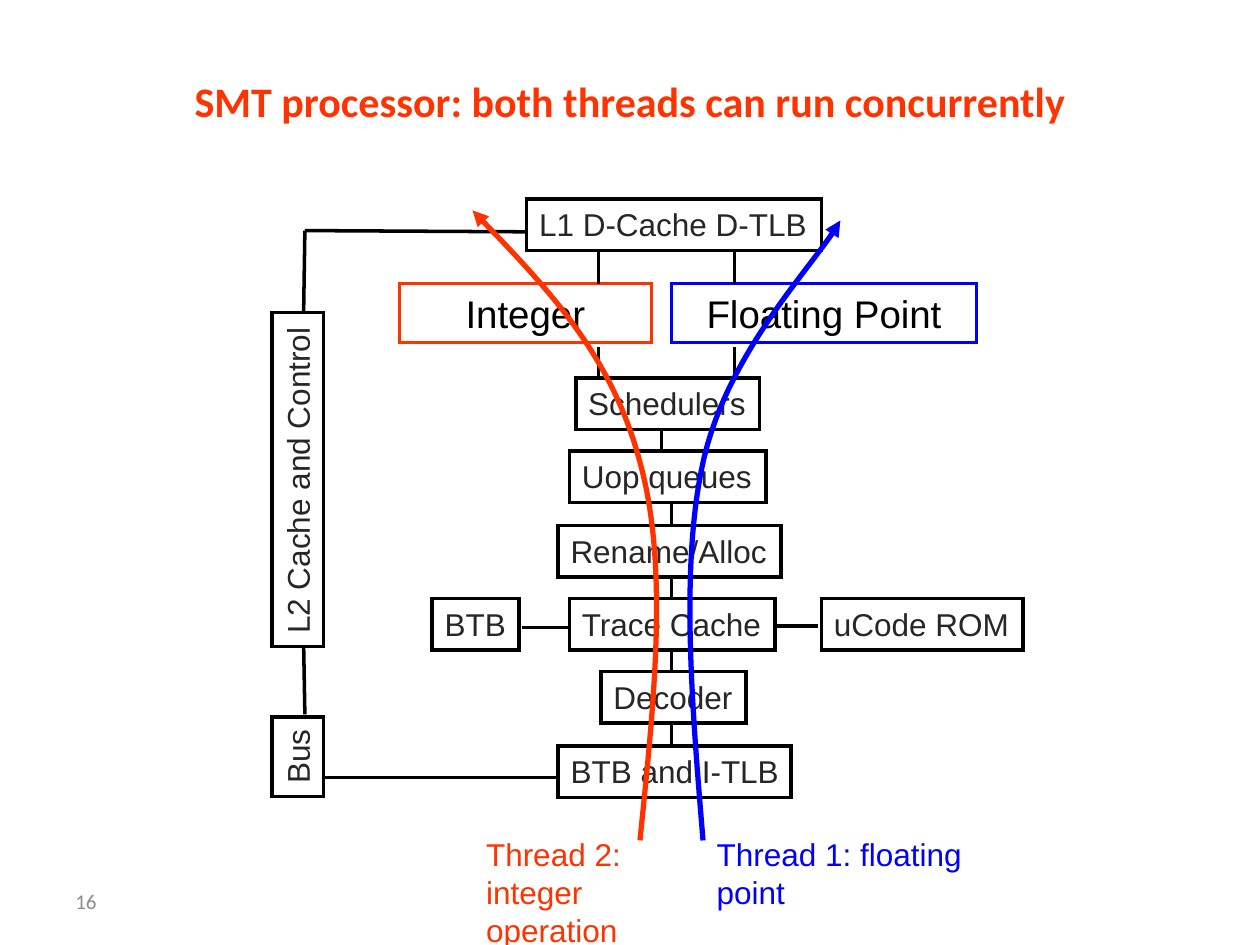
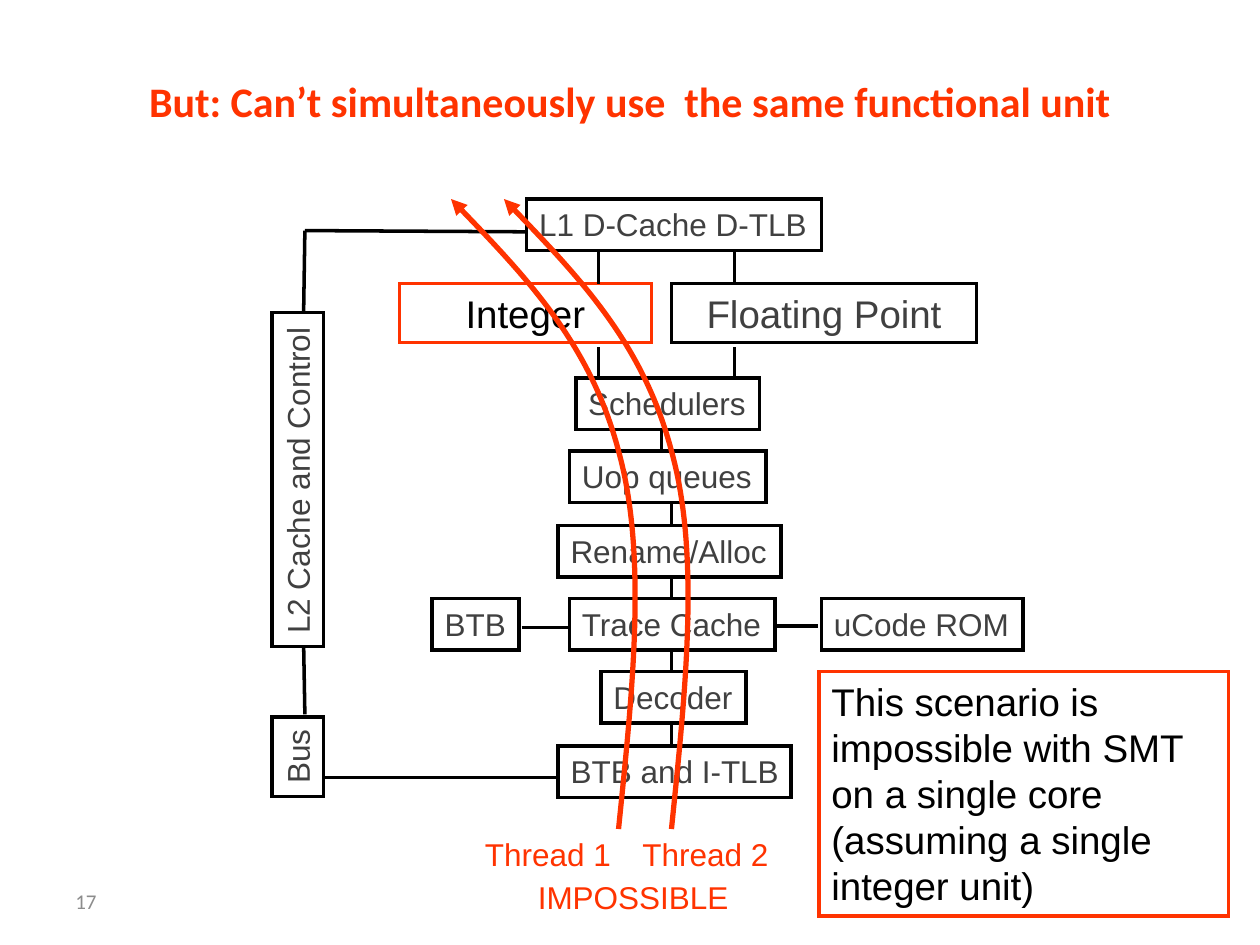
from lxml.etree import SubElement
from pptx import Presentation
from pptx.dml.color import RGBColor
from pptx.enum.shapes import MSO_CONNECTOR, MSO_SHAPE
from pptx.enum.text import MSO_ANCHOR, MSO_AUTO_SIZE, PP_ALIGN
from pptx.oxml.ns import qn
from pptx.util import Emu, Pt

SCALE = 9144
BLACK = RGBColor(0x00, 0x00, 0x00)
DARK = RGBColor(0x26, 0x26, 0x26)
FADED = RGBColor(0x40, 0x40, 0x40)
GREY = RGBColor(0x8C, 0x8C, 0x8C)
RED = RGBColor(0xFF, 0x33, 0x00)
BLUE = RGBColor(0x00, 0x00, 0xFF)

PIPELINE = [
    ("Schedulers", 457, 146),
    ("Uop queues", 452, 156),
    ("Rename/Alloc", 443, 177),
    ("Trace Cache", 452, 163),
    ("Decoder", 477, 115),
    ("BTB and I-TLB", 443, 185),
]
SIDE_BLOCKS = [
    ("L1 D-Cache D-TLB", 418, 158, 234, 0),
    ("uCode ROM", 652, 475, 160, 0),
    ("BTB", 343, 475, 69, 0),
    ("L2 Cache and Control", 104, 360, 265, 270),
    ("Bus", 205, 580, 63, 270),
]
WIRES = [
    (258, 617, 442, 617),
    (241, 512, 242, 567),
    (414, 498, 451, 498),
    (616, 497, 649, 497),
    (242, 183, 417, 184),
    (242, 183, 241, 247),
]
UNIT_WIRE_XS = (475, 583)
INTEGER_ROUTE = [(508, 667), (519, 558), (531, 450), (508, 367),
                 (486, 283), (431, 225), (375, 167)]
FLOATING_ROUTE = [(558, 667), (549, 558), (540, 449), (558, 367),
                  (576, 285), (649, 207), (667, 175)]


def px(*lengths):
    return [Emu(length * SCALE) for length in lengths]


def write(shape, text, size, color, font="Arial", bold=False, wrap=False,
          align=PP_ALIGN.LEFT, anchor=MSO_ANCHOR.TOP, grow=True):
    frame = shape.text_frame
    frame.text = text
    frame.word_wrap = wrap
    frame.vertical_anchor = anchor
    frame.auto_size = MSO_AUTO_SIZE.SHAPE_TO_FIT_TEXT if grow else MSO_AUTO_SIZE.NONE
    for paragraph in frame.paragraphs:
        paragraph.alignment = align
        for run in paragraph.runs:
            run.font.name = font
            run.font.size = Pt(size)
            run.font.bold = bold
            run.font.color.rgb = color


def add_label(slide, text, box, size, color, **style):
    write(slide.shapes.add_textbox(*px(*box)), text, size, color, **style)


def add_block(slide, text, box, size, color, outline=BLACK, rotation=0, **style):
    block = slide.shapes.add_shape(MSO_SHAPE.RECTANGLE, *px(*box))
    block.shadow.inherit = False
    block.fill.background()
    block.line.color.rgb = outline
    block.line.width = Pt(2)
    SubElement(block.line._get_or_add_ln(), qn("a:miter"), lim="800000")
    block.rotation = rotation
    write(block, text, size, color, **style)


def add_wire(slide, *ends):
    wire = slide.shapes.add_connector(MSO_CONNECTOR.STRAIGHT, *px(*ends))
    wire.line.color.rgb = BLACK
    wire.line.width = Pt(2)
    SubElement(wire._element.spPr, qn("a:effectLst"))


def add_thread(slide, route, color, dx=0, dy=0):
    start, *bends = [(x + dx, y + dy) for x, y in route]
    builder = slide.shapes.build_freeform(*start, scale=SCALE)
    builder.add_line_segments(bends, close=False)
    thread = builder.convert_to_shape()
    thread.shadow.inherit = False
    thread.fill.background()
    thread.line.color.rgb = color
    thread.line.width = Pt(3)
    SubElement(thread.line._get_or_add_ln(), qn("a:tailEnd"), type="triangle")
    segments = list(thread._element.spPr.iter(qn("a:lnTo")))
    outline = segments[0].getparent()
    for first in range(0, len(segments), 3):
        curve = SubElement(outline, qn("a:cubicBezTo"))
        for segment in segments[first:first + 3]:
            curve.append(segment[0])
            outline.remove(segment)


def add_processor(slide, ink, floating_ink, floating_outline):
    tops = [300 + round(row * 175 / 3) for row in range(len(PIPELINE))]
    for (text, left, width), top in zip(PIPELINE, tops):
        add_block(slide, text, (left, top, width, 41), 18, ink)
    for text, left, top, width, rotation in SIDE_BLOCKS:
        add_block(slide, text, (left, top, width, 41), 18, ink, rotation=rotation)
    unit = dict(wrap=True, align=PP_ALIGN.CENTER)
    add_block(slide, "Integer", (317, 225, 200, 47), 22, BLACK, RED, **unit)
    add_block(slide, "Floating Point", (533, 225, 242, 47), 22,
              floating_ink, floating_outline, **unit)
    for ends in WIRES:
        add_wire(slide, *ends)
    for row, top in enumerate(tops[1:]):
        x = 533 if row else 525
        add_wire(slide, x, top, x, top - 17)
    for x in UNIT_WIRE_XS:
        for bottom in (225, 300):
            add_wire(slide, x, bottom, x, bottom - 25)


def add_slide(deck, title, number):
    slide = deck.slides.add_slide(deck.slide_layouts[6])
    style = dict(font="Calibri", wrap=True, anchor=MSO_ANCHOR.MIDDLE, grow=False)
    add_label(slide, number, (50, 695, 233, 40), 12, GREY, **style)
    add_label(slide, title, (50, 17, 900, 125), 24, RED, bold=True,
              align=PP_ALIGN.CENTER, **style)
    return slide


def add_concurrent_slide(deck):
    slide = add_slide(deck, "SMT processor: both threads can run concurrently", "16")
    add_processor(slide, DARK, BLACK, BLUE)
    add_thread(slide, INTEGER_ROUTE, RED)
    add_thread(slide, FLOATING_ROUTE, BLUE)
    add_label(slide, "Thread 1: floating point", (559, 658, 240, 70), 18, BLUE, wrap=True)
    add_label(slide, "Thread 2:\vinteger operation", (376, 658, 180, 100), 18, RED, wrap=True)


def add_conflict_slide(deck):
    slide = add_slide(deck, "But: Can’t simultaneously use  the same functional unit", "17")
    add_processor(slide, FADED, FADED, BLACK)
    for text, dx, left in (("Thread 1", -17, 375), ("Thread 2", 25, 500)):
        add_thread(slide, INTEGER_ROUTE, RED, dx, -9)
        add_label(slide, text, (left, 658, 125, 40), 18, RED)
    add_block(slide, "This scenario is\vimpossible with SMT\von a single core\v"
              "(assuming a single integer unit)",
              (650, 533, 325, 194), 22, BLACK, RED, wrap=True)
    add_label(slide, "IMPOSSIBLE", (417, 692, 190, 40), 18, RED, wrap=True)


def main():
    """Build the two slides on threads in an SMT processor."""
    deck = Presentation()
    deck.slide_width, deck.slide_height = px(1000, 750)
    add_concurrent_slide(deck)
    add_conflict_slide(deck)
    deck.save("out.pptx")


if __name__ == "__main__":
    main()
